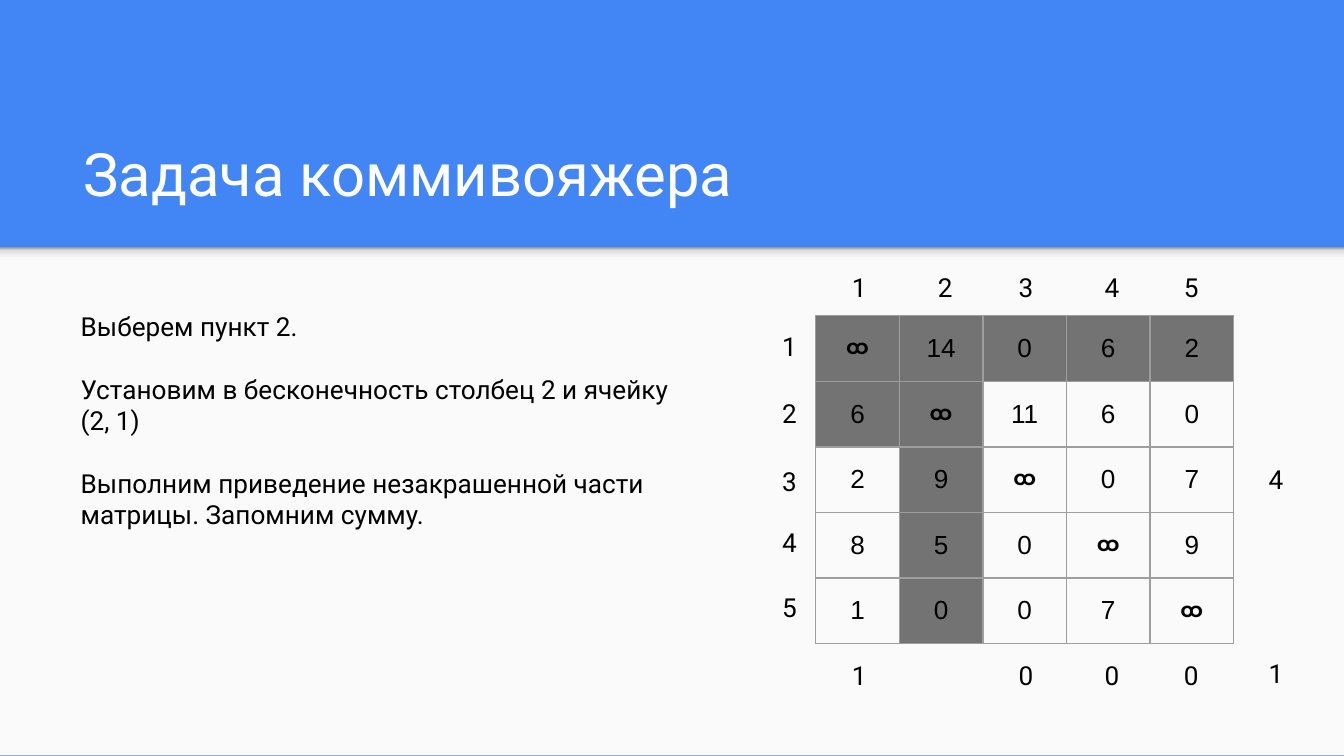
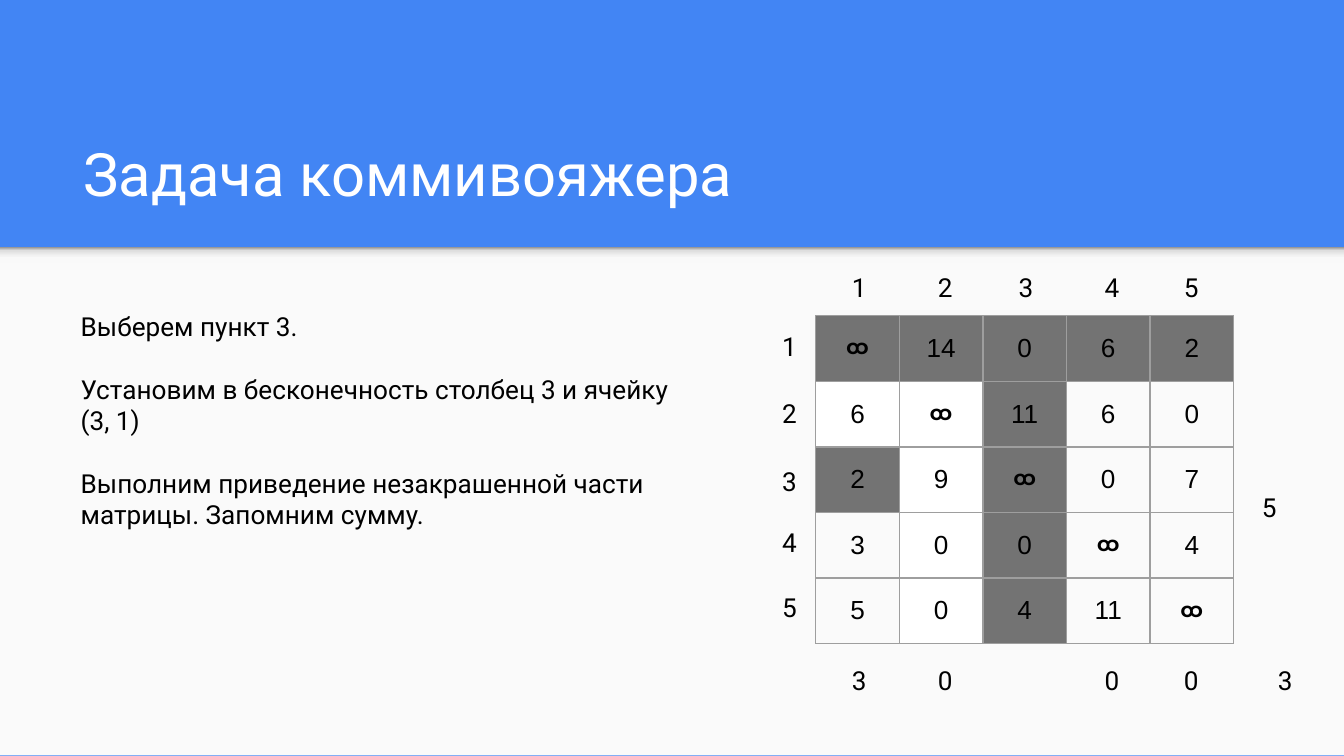
"""Build two slides on reducing the matrix of the travelling salesman problem."""
from lxml.etree import SubElement as Sub
from pptx import Presentation
from pptx.dml.color import RGBColor
from pptx.enum.shapes import MSO_SHAPE as Shape
from pptx.enum.text import MSO_ANCHOR as Anchor, MSO_AUTO_SIZE as Auto, PP_ALIGN as Align
from pptx.oxml.ns import qn
from pptx.util import Inches, Pt

BLUE, PALE, GREY, LINE = "4285F4", "FAFAFA", "737373", "9E9E9E"
WHITE, BLACK = "FFFFFF", "000000"
FADE = [(0, "F9F9F9"), (36, "F9F9F9"), (80, "DEDEDE"), (100, "999999")]
INF = "ထ"
SIZE = 5
COLS = [6.24, 6.88, 7.48, 8.12, 8.71]
ROWS = [2.36, 2.86, 3.36, 3.82, 4.3]
TITLE = "Задача коммивояжера"

STEPS = [
    dict(
        pick=2,
        grid=[[INF, 14, 0, 6, 2], [6, INF, 11, 6, 0], [2, 9, INF, 0, 7],
              [8, 5, 0, INF, 9], [1, 0, 0, 7, INF]],
        mins=[1, None, 0, 0, 0],
        base=4.81,
        sums=[(4, 9.34, 3.35, 0.55), (1, 9.34, 4.79, 0.31)],
    ),
    dict(
        pick=3,
        grid=[[INF, 14, 0, 6, 2], [6, INF, 11, 6, 0], [2, 9, INF, 0, 7],
              [3, 0, 0, INF, 4], [5, 0, 4, 11, INF]],
        mins=[3, 0, None, 0, 0],
        base=4.84,
        sums=[(5, 9.29, 3.56, 0.55), (3, 9.41, 4.84, 0.31)],
    ),
]


def color(code):
    return RGBColor.from_string(code)


def paint(fill, code):
    fill.solid()
    fill.fore_color.rgb = color(code)


def write(par, text, size=14, code=BLACK, face="Roboto", bold=False):
    run = par.add_run()
    run.text = str(text)
    font = run.font
    font.size, font.name, font.bold = Pt(size), face, bold
    font.color.rgb = color(code)


def place(item, left, top, width, height):
    item.left, item.top = Inches(left), Inches(top)
    item.width, item.height = Inches(width), Inches(height)


def pad(item):
    item.margin_left = item.margin_right = Inches(0.1)
    item.margin_top = item.margin_bottom = Inches(0.1)


def frame(item, anchor, auto):
    box = item.text_frame
    box.word_wrap, box.auto_size, box.vertical_anchor = True, auto, anchor
    pad(box)
    return box


def add_rect(slide, top, height):
    rect = slide.shapes.add_shape(
        Shape.RECTANGLE, 0, Inches(top), Inches(10), Inches(height))
    rect.shadow.inherit = False
    rect.line.fill.background()
    slide.shapes._spTree.insert(2, rect._element)
    return rect


def add_base(slide):
    strip = add_rect(slide, 1.84, 0.12)
    strip.fill.gradient()
    strip.fill.gradient_angle = 90
    stops = strip._element.spPr.find(qn("a:gradFill")).find(qn("a:gsLst"))
    for stop in list(stops):
        stops.remove(stop)
    for pos, code in FADE:
        stop = Sub(stops, qn("a:gs"), pos=str(pos * 1000))
        Sub(stop, qn("a:srgbClr"), val=code)
    paint(add_rect(slide, 1.84, 3.78).fill, PALE)


def add_title(slide):
    title = slide.shapes.title
    place(title, 0.52, 0.81, 8.99, 0.84)
    par = frame(title, Anchor.BOTTOM, Auto.NONE).paragraphs[0]
    par.alignment = Align.LEFT
    write(par, TITLE, 32, WHITE)


def add_body(slide, lines):
    body = slide.placeholders[1]
    place(body, 0.5, 2.21, 4.74, 3.12)
    box = frame(body, Anchor.TOP, Auto.NONE)
    for num, line in enumerate(lines):
        par = box.add_paragraph() if num else box.paragraphs[0]
        props = par._p.get_or_add_pPr()
        props.set("marL", "0")
        props.set("indent", "0")
        Sub(props, qn("a:buNone"))
        par.space_before = Pt(16.8 if num else 0)
        write(par, line)


def add_label(slide, text, left, top, width=0.31):
    label = slide.shapes.add_textbox(
        Inches(left), Inches(top), Inches(width), Inches(0.44))
    box = frame(label, Anchor.TOP, Auto.SHAPE_TO_FIT_TEXT)
    write(box.paragraphs[0], text)


def add_edges(cell):
    props = cell._tc.get_or_add_tcPr()
    for side in ("lnL", "lnR", "lnT", "lnB"):
        edge = Sub(props, qn(f"a:{side}"), w=str(Pt(0.75)))
        Sub(Sub(edge, qn("a:solidFill")), qn("a:srgbClr"), val=LINE)


def is_dark(row, col, pick):
    return row == 0 or col == pick - 1 or (row, col) == (pick - 1, 0)


def fill_cell(cell, value, dark, clear):
    add_edges(cell)
    if dark:
        paint(cell.fill, GREY)
    elif clear:
        paint(cell.fill, WHITE)
    else:
        cell.fill.background()
    cell.vertical_anchor = Anchor.MIDDLE
    pad(cell)
    par = cell.text_frame.paragraphs[0]
    par.alignment = Align.CENTER
    sign = value == INF
    write(par, value, 11 if sign else 14, face="Arial", bold=sign)


def add_grid(slide, grid, pick):
    table = slide.shapes.add_table(
        SIZE, SIZE, Inches(6.07), Inches(2.35), Inches(3.11), Inches(2.44)).table
    table.first_row = table.horz_banding = False
    for row, values in enumerate(grid):
        for col, value in enumerate(values):
            clear = pick > 2 and is_dark(row, col, pick - 1)
            fill_cell(table.cell(row, col), value, is_dark(row, col, pick), clear)


def add_step(deck, pick, grid, mins, base, sums):
    slide = deck.slides.add_slide(deck.slide_layouts[1])
    add_base(slide)
    add_title(slide)
    add_grid(slide, grid, pick)
    for num, top in enumerate(ROWS, 1):
        add_label(slide, num, 5.72, top)
    for num, left in enumerate(COLS, 1):
        add_label(slide, num, left, 1.92)
    add_body(slide, [
        f"Выберем пункт {pick}.",
        f"Установим в бесконечность столбец {pick} и ячейку ({pick}, 1)",
        "Выполним приведение незакрашенной части матрицы. Запомним сумму.",
    ])
    for least, left in zip(mins, COLS):
        if least is not None:
            add_label(slide, least, left, base)
    for total in sums:
        add_label(slide, *total)


def main():
    deck = Presentation()
    deck.slide_width = Inches(10)
    deck.slide_height = deck.slide_width * 9 // 16
    paint(deck.slide_master.background.fill, BLUE)
    for step in STEPS:
        add_step(deck, **step)
    deck.save("out.pptx")


if __name__ == "__main__":
    main()
